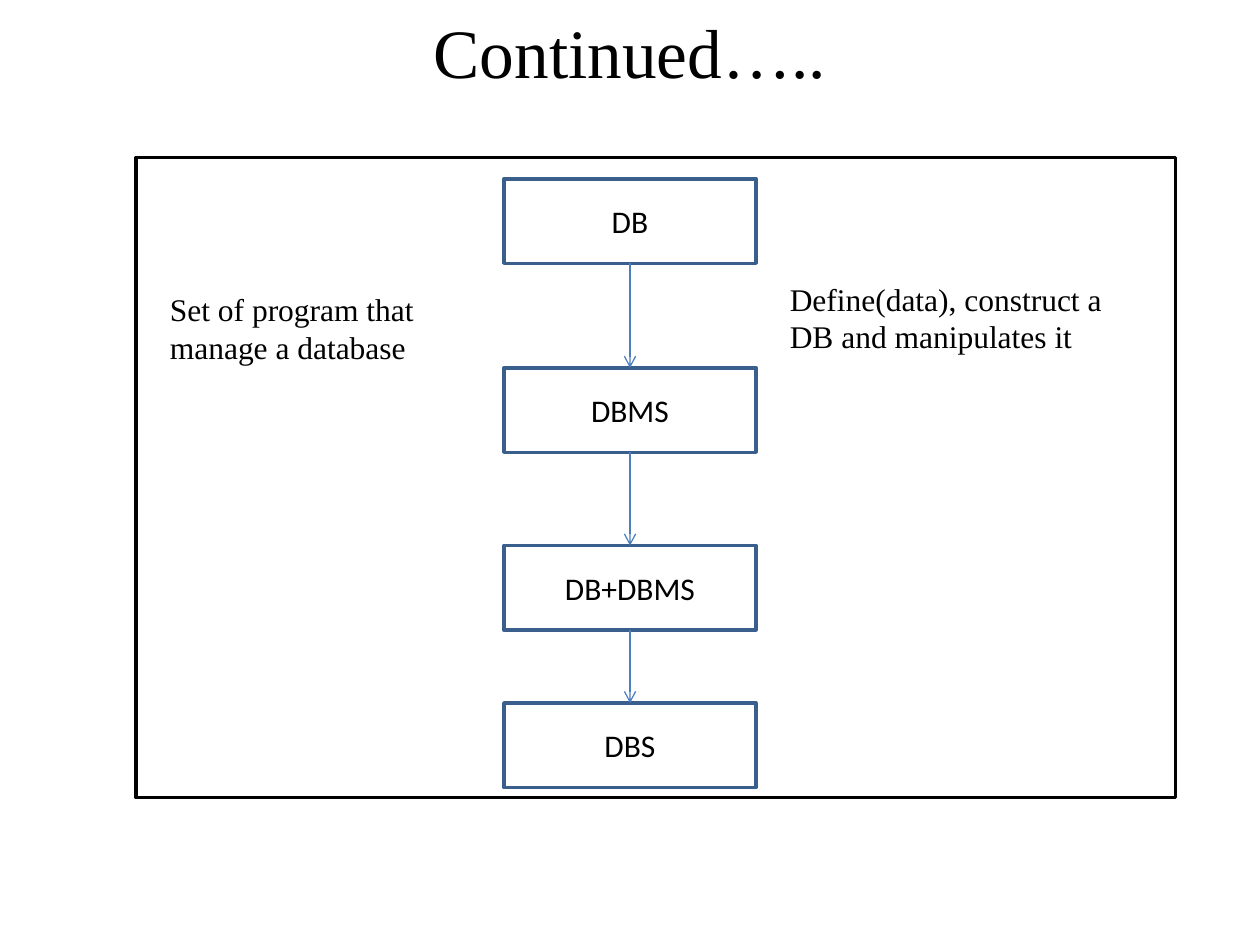
import itertools

import lxml.etree
import pptx
import pptx.dml.color
import pptx.enum.shapes
import pptx.enum.text
import pptx.oxml.ns
import pptx.util
from pptx.util import Inches

COLORS = {"text": "000000", "box": "3A5F8C", "arrow": "4B7EBC", "frame": "000000"}


def write_text(shape, text, size, font_name, alignment, anchor):
    frame = shape.text_frame
    frame.word_wrap = True
    frame.vertical_anchor = anchor
    paragraph = frame.paragraphs[0]
    paragraph.text = text
    paragraph.alignment = alignment
    paragraph.font.size = pptx.util.Pt(size)
    paragraph.font.name = font_name
    paragraph.font.color.rgb = pptx.dml.color.RGBColor.from_string(COLORS["text"])


def add_outline(left, top, width, height, color):
    shape = slide.shapes.add_shape(
        pptx.enum.shapes.MSO_SHAPE.RECTANGLE,
        Inches(left), Inches(top), Inches(width), Inches(height))
    shape.shadow.inherit = False
    shape.fill.background()
    shape.line.color.rgb = pptx.dml.color.RGBColor.from_string(color)
    shape.line.width = pptx.util.Pt(2)
    return shape


presentation = pptx.Presentation()
presentation.slide_width = Inches(10)
presentation.slide_height = Inches(7.5)
slide = presentation.slides.add_slide(presentation.slide_layouts[6])

center = pptx.enum.text.PP_ALIGN.CENTER
left = pptx.enum.text.PP_ALIGN.LEFT
middle = pptx.enum.text.MSO_ANCHOR.MIDDLE
top = pptx.enum.text.MSO_ANCHOR.TOP

title = slide.shapes.add_textbox(Inches(0.5), Inches(0.05), Inches(9), Inches(0.7))
write_text(title, "Continued…..", 39.6, "Times New Roman", center, middle)

boxes = []
for label, box_top in [("DB", 1.42), ("DBMS", 2.92), ("DB+DBMS", 4.33), ("DBS", 5.58)]:
    box = add_outline(4, box_top, 2, 0.67, COLORS["box"])
    write_text(box, label, 18, "Calibri", center, middle)
    boxes.append(box)

for upper, lower in itertools.pairwise(boxes):
    arrow = slide.shapes.add_connector(pptx.enum.shapes.MSO_CONNECTOR.STRAIGHT, 0, 0, 0, 0)
    arrow.begin_connect(upper, 2)
    arrow.end_connect(lower, 0)
    arrow.line.color.rgb = pptx.dml.color.RGBColor.from_string(COLORS["arrow"])
    arrow.line.width = pptx.util.Pt(0.75)
    lxml.etree.SubElement(
        arrow.line._get_or_add_ln(), pptx.oxml.ns.qn("a:tailEnd"), type="arrow")
    lxml.etree.SubElement(arrow._element.spPr, pptx.oxml.ns.qn("a:effectLst"))

notes = [
    ("Set of program that manage a database", 1.25, 2.25, 2.75),
    ("Define(data), construct a DB and manipulates it", 6.17, 2.17, 2.83),
]
for text, note_left, note_top, width in notes:
    note = slide.shapes.add_textbox(
        Inches(note_left), Inches(note_top), Inches(width), Inches(0.71))
    write_text(note, text, 18, "Times New Roman", left, top)

add_outline(1.08, 1.25, 8.25, 5.08, COLORS["frame"])

presentation.save("out.pptx")
